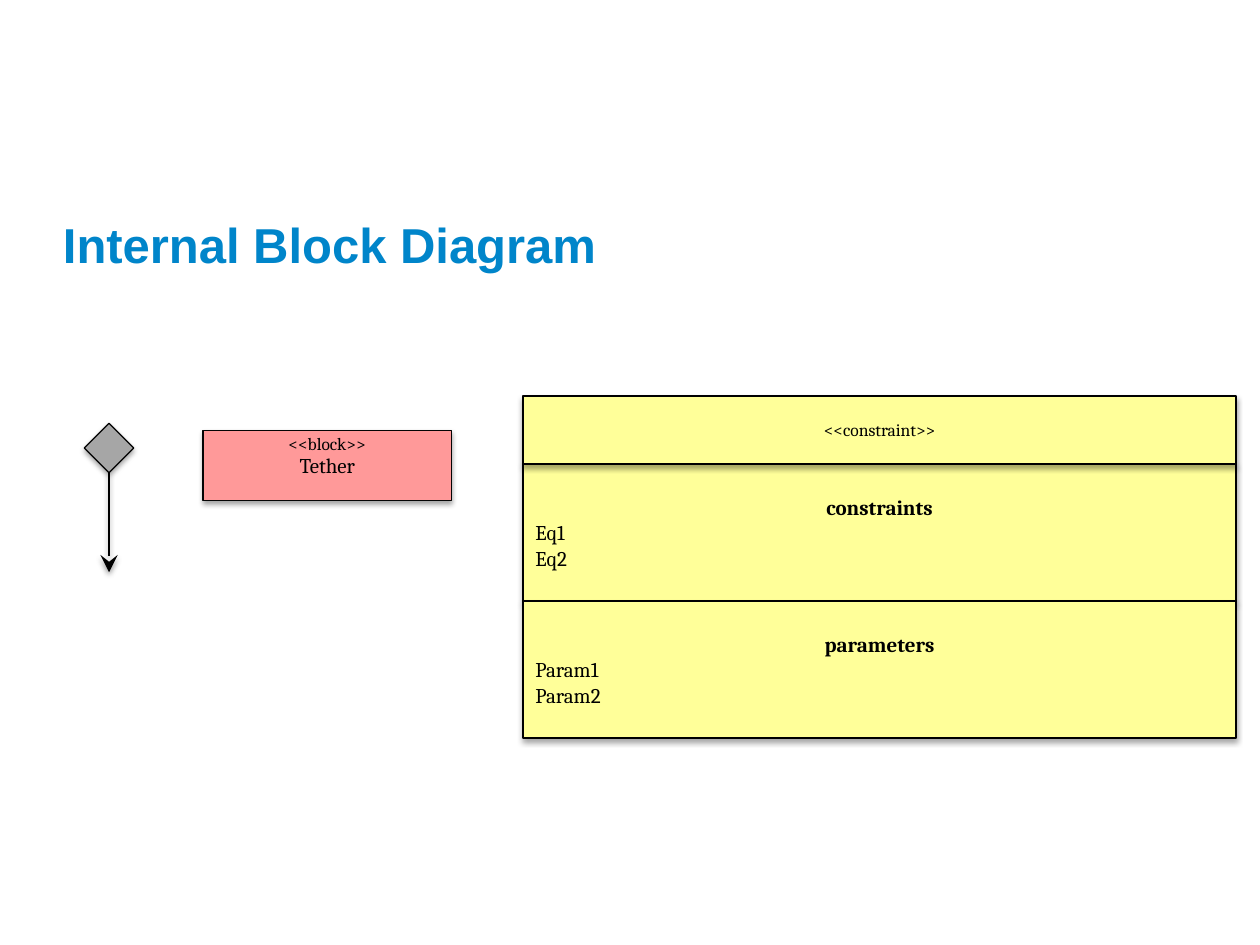
"""Build the Internal Block Diagram slide."""
from lxml import etree
from pptx import Presentation
from pptx.dml.color import RGBColor
from pptx.enum.shapes import MSO_CONNECTOR as Connector, MSO_SHAPE as Preset
from pptx.enum.text import MSO_ANCHOR as Anchor, PP_ALIGN as Align
from pptx.oxml.ns import qn
from pptx.util import Pt

COLORS = {"title": "0085CA", "block": "FF9999", "block_line": "040404",
          "constraint": "FFFF99", "diamond": "A6A6A6", "black": "000000"}
TITLE = ("Internal Block Diagram", 28, True, Align.LEFT)
BLOCK = ("Tether", 12, False, Align.CENTER)
BLOCK_STEREOTYPE = ("<<block>>", 10, False, Align.CENTER)
CONSTRAINT_STEREOTYPE = ("<<constraint>>", 10, False, Align.CENTER)
COMPARTMENTS = [("constraints", ["Eq1", "Eq2"]), ("parameters", ["Param1", "Param2"])]
LEFT, TOP, WIDTH, HEADER, COMPARTMENT = 298.8, 226.3, 407.6, 38.9, 78.3
DIAMOND_LEFT, DIAMOND_TOP, DIAMOND_SIZE, ARROW_END = 48.2, 241.9, 28.3, 327


def rgb(name):
    return RGBColor.from_string(COLORS[name])


def write(shape, lines, font="Cambria", color="black", wrap=True):
    frame = shape.text_frame
    frame.word_wrap = wrap
    frame.vertical_anchor = Anchor.MIDDLE
    for index, (text, size, bold, align) in enumerate(lines):
        paragraph = frame.paragraphs[0] if index == 0 else frame.add_paragraph()
        paragraph.alignment = align
        run = paragraph.add_run()
        run.text = text
        run.font.name = font
        run.font.size = Pt(size)
        run.font.bold = bold
        run.font.color.rgb = rgb(color)


def add_shadow(shape, opacity=35, distance=1.8):
    properties = shape._element.spPr
    effects = etree.SubElement(properties, qn("a:effectLst"))
    shadow = etree.SubElement(effects, qn("a:outerShdw"), blurRad=str(Pt(3.1)),
                              dist=str(Pt(distance)), dir="5400000", rotWithShape="0")
    color = etree.SubElement(shadow, qn("a:srgbClr"), val=COLORS["black"])
    etree.SubElement(color, qn("a:alpha"), val=str(opacity * 1000))


def add_box(preset, bounds, fill, lines=(), line="black"):
    shape = slide.shapes.add_shape(preset, *map(Pt, bounds))
    shape.fill.solid()
    shape.fill.fore_color.rgb = rgb(fill)
    shape.line.color.rgb = rgb(line)
    shape.line.width = Pt(0.75)
    add_shadow(shape)
    write(shape, lines)


presentation = Presentation()
presentation.slide_width, presentation.slide_height = Pt(720), Pt(540)
slide = presentation.slides.add_slide(presentation.slide_layouts[6])

title = slide.shapes.add_textbox(Pt(36), Pt(117.4), Pt(648), Pt(40.3))
title.text_frame.margin_left = title.text_frame.margin_right = 0
title.text_frame.margin_bottom = 0
write(title, [TITLE], "Arial", "title")

add_box(Preset.RECTANGLE, (116.1, 246, 141.9, 40.2), "block", [BLOCK], "block_line")
stereotype = slide.shapes.add_textbox(Pt(157), Pt(243.6), Pt(59.8), Pt(19.4))
write(stereotype, [BLOCK_STEREOTYPE], wrap=False)

add_box(Preset.FLOWCHART_DECISION,
        (DIAMOND_LEFT, DIAMOND_TOP, DIAMOND_SIZE, DIAMOND_SIZE), "diamond")
center = DIAMOND_LEFT + DIAMOND_SIZE / 2
arrow = slide.shapes.add_connector(Connector.STRAIGHT, Pt(center),
                                   Pt(DIAMOND_TOP + DIAMOND_SIZE), Pt(center), Pt(ARROW_END))
arrow.line.color.rgb = rgb("black")
arrow.line.width = Pt(1)
etree.SubElement(arrow.line._get_or_add_ln(), qn("a:tailEnd"),
                 type="stealth", w="lg", len="lg")
add_shadow(arrow, 38, 1.6)

boxes = [(TOP + HEADER + index * COMPARTMENT, COMPARTMENT,
          [(heading, 12, True, Align.CENTER)]
          + [(item, 12, False, Align.LEFT) for item in items])
         for index, (heading, items) in enumerate(COMPARTMENTS)]
boxes.insert(1, (TOP, HEADER, [CONSTRAINT_STEREOTYPE]))
for top, height, lines in boxes:
    add_box(Preset.RECTANGLE, (LEFT, top, WIDTH, height), "constraint", lines)

presentation.save("out.pptx")
